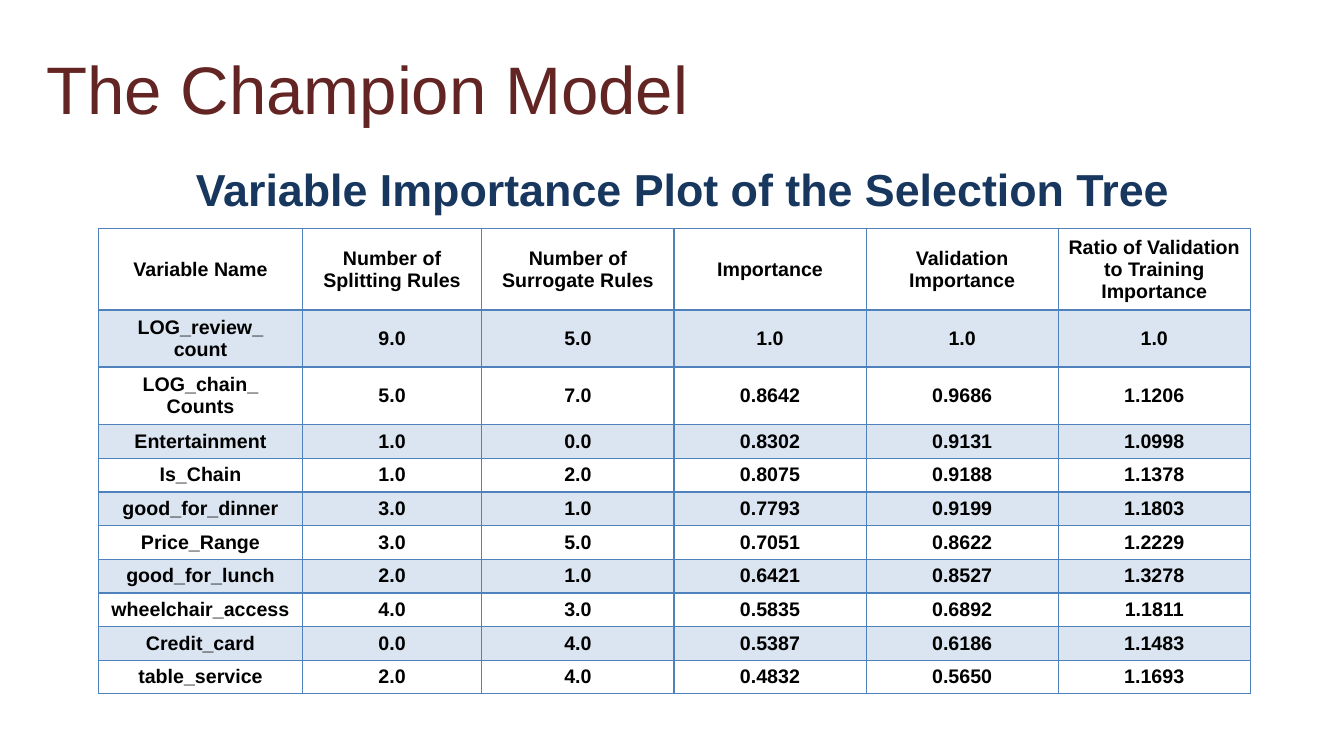
import pptx
import pptx.dml.color
import pptx.enum.text
import pptx.oxml
import pptx.oxml.ns
import pptx.util

PX = 9525
THEME = {
    "font": "Arial",
    "title": ("632523", 48, False),
    "subtitle": ("17375E", 32, True),
    "cell": ("000000", 14, True),
    "accent": "4F81BD",
    "band_alpha": 20000,
}
ANCHOR = pptx.enum.text.MSO_ANCHOR
COLUMN_WIDTHS = [194, 171] + [183] * 4
ROW_HEIGHTS = [77, 54, 55] + [32] * 8
ROWS = [
    ["Variable Name", "Number of\nSplitting Rules", "Number of\nSurrogate Rules",
     "Importance", "Validation\nImportance", "Ratio of Validation to Training\nImportance"],
    ["LOG_review_\ncount", "9.0", "5.0", "1.0", "1.0", "1.0"],
    ["LOG_chain_\nCounts", "5.0", "7.0", "0.8642", "0.9686", "1.1206"],
    ["Entertainment", "1.0", "0.0", "0.8302", "0.9131", "1.0998"],
    ["Is_Chain", "1.0", "2.0", "0.8075", "0.9188", "1.1378"],
    ["good_for_dinner", "3.0", "1.0", "0.7793", "0.9199", "1.1803"],
    ["Price_Range", "3.0", "5.0", "0.7051", "0.8622", "1.2229"],
    ["good_for_lunch", "2.0", "1.0", "0.6421", "0.8527", "1.3278"],
    ["wheelchair_access", "4.0", "3.0", "0.5835", "0.6892", "1.1811"],
    ["Credit_card", "0.0", "4.0", "0.5387", "0.6186", "1.1483"],
    ["table_service", "2.0", "4.0", "0.4832", "0.5650", "1.1693"],
]


def write(tf, text, style, align=pptx.enum.text.PP_ALIGN.LEFT):
    color, size, bold = THEME[style]
    tf.word_wrap = True
    tf.text = text
    for p in tf.paragraphs:
        p.alignment = align
        p.font.name = THEME["font"]
        p.font.size = pptx.util.Pt(size)
        p.font.bold = bold
        p.font.color.rgb = pptx.dml.color.RGBColor.from_string(color)


def add_border(cell, side, points):
    cell._tc.get_or_add_tcPr().append(pptx.oxml.parse_xml(
        f'<a:ln{side} {pptx.oxml.ns.nsdecls("a")} w="{pptx.util.Pt(points)}">'
        f'<a:solidFill><a:srgbClr val="{THEME["accent"]}"/></a:solidFill></a:ln{side}>'))


prs = pptx.Presentation()
prs.slide_width = 1280 * PX
prs.slide_height = 720 * PX
s = prs.slides.add_slide(prs.slide_layouts[6])

title = s.shapes.add_textbox(44 * PX, 42 * PX, 1066 * PX, 80 * PX)
tf = title.text_frame
tf.margin_left = tf.margin_top = tf.margin_right = tf.margin_bottom = 0
tf.vertical_anchor = ANCHOR.BOTTOM
write(tf, "The Champion Model", "title")

frame = s.shapes.add_table(len(ROWS), len(COLUMN_WIDTHS), 94 * PX, 218 * PX,
                           sum(COLUMN_WIDTHS) * PX, sum(ROW_HEIGHTS) * PX)
table = frame.table
table.first_row = False
table.horz_banding = False
for column, width in zip(table.columns, COLUMN_WIDTHS):
    column.width = width * PX

for i, (row, height, values) in enumerate(zip(table.rows, ROW_HEIGHTS, ROWS)):
    row.height = height * PX
    for cell, value in zip(row.cells, values):
        cell.vertical_anchor = ANCHOR.MIDDLE
        write(cell.text_frame, value, "cell", pptx.enum.text.PP_ALIGN.CENTER)
        for side in "LRTB":
            add_border(cell, side, 2 if i == 0 and side == "B" else 1)
        if i % 2:
            cell.fill.solid()
            cell.fill.fore_color.rgb = pptx.dml.color.RGBColor.from_string(THEME["accent"])
            color = cell._tc.tcPr.find(pptx.oxml.ns.qn("a:solidFill"))[0]
            color.append(pptx.oxml.parse_xml(
                f'<a:alpha {pptx.oxml.ns.nsdecls("a")} val="{THEME["band_alpha"]}"/>'))
        else:
            cell.fill.background()

subtitle = s.shapes.add_textbox(177 * PX, 149 * PX, 957 * PX, 61 * PX)
write(subtitle.text_frame, "Variable Importance Plot of the Selection Tree", "subtitle")

prs.save("out.pptx")
